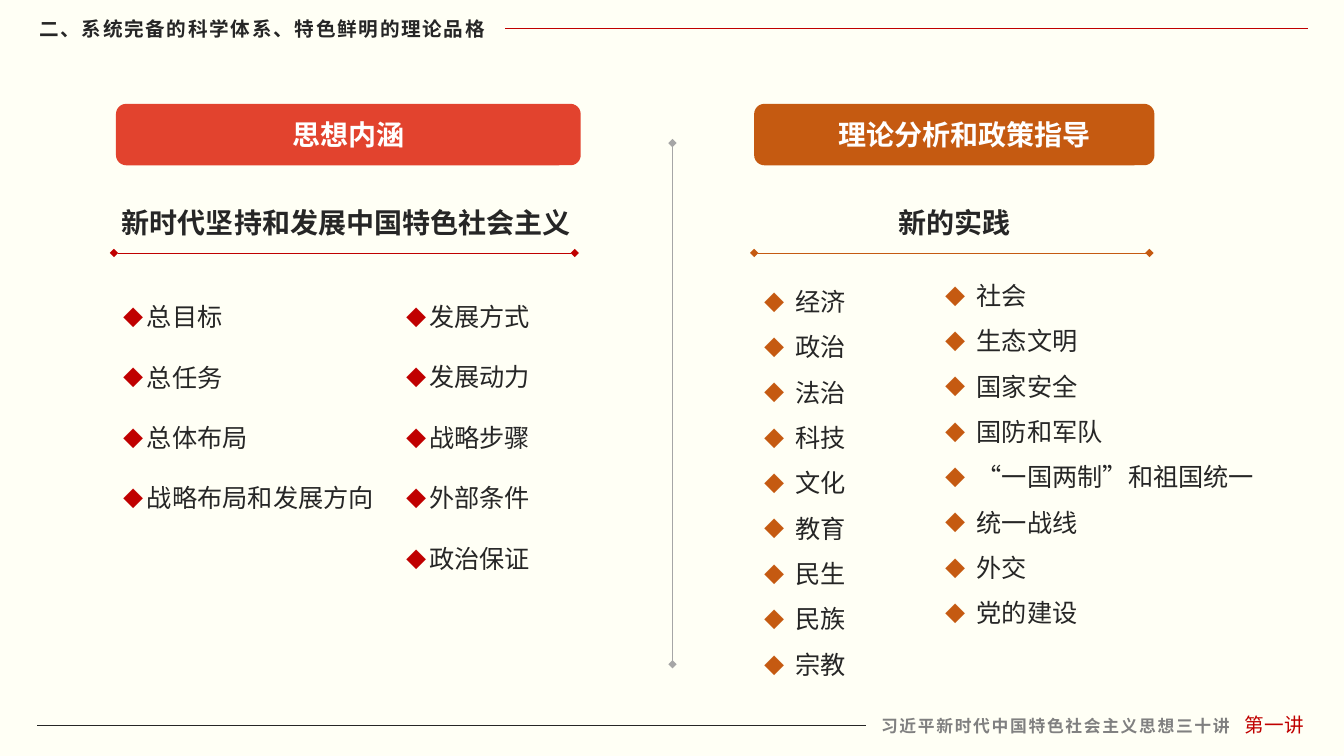
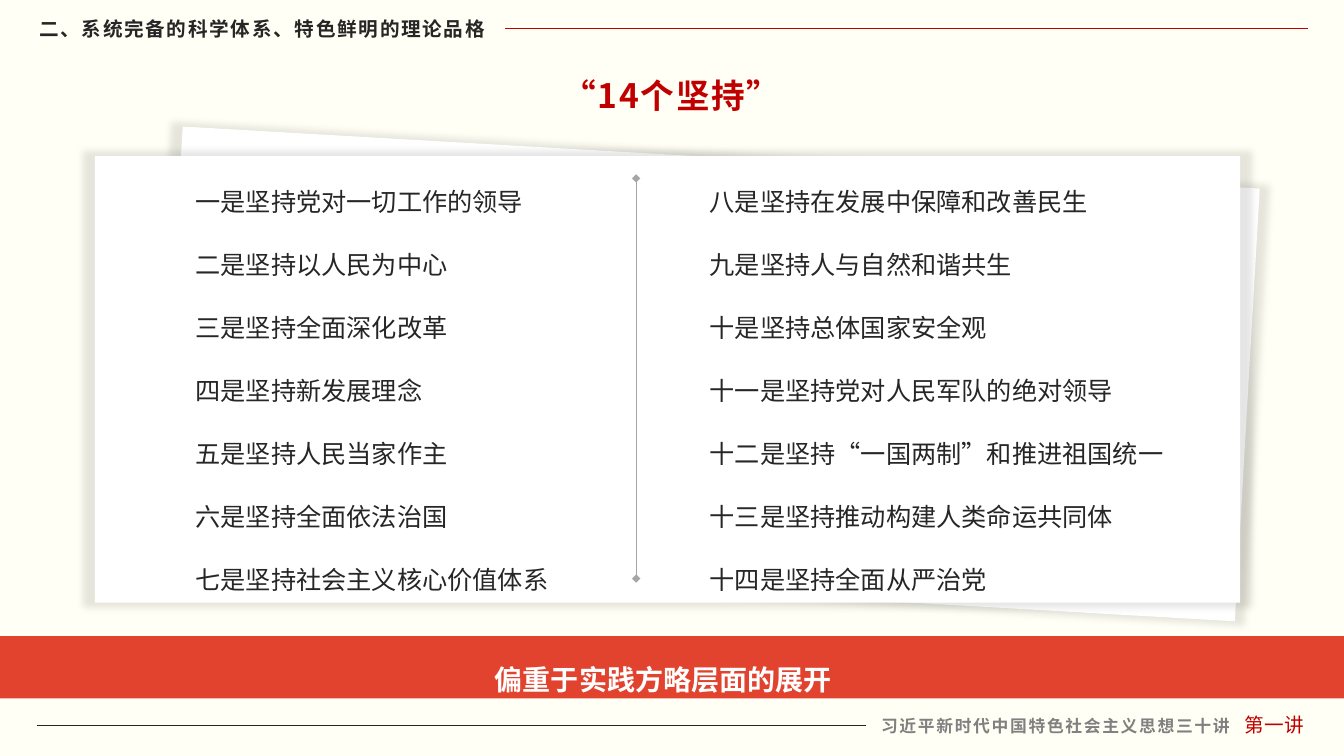
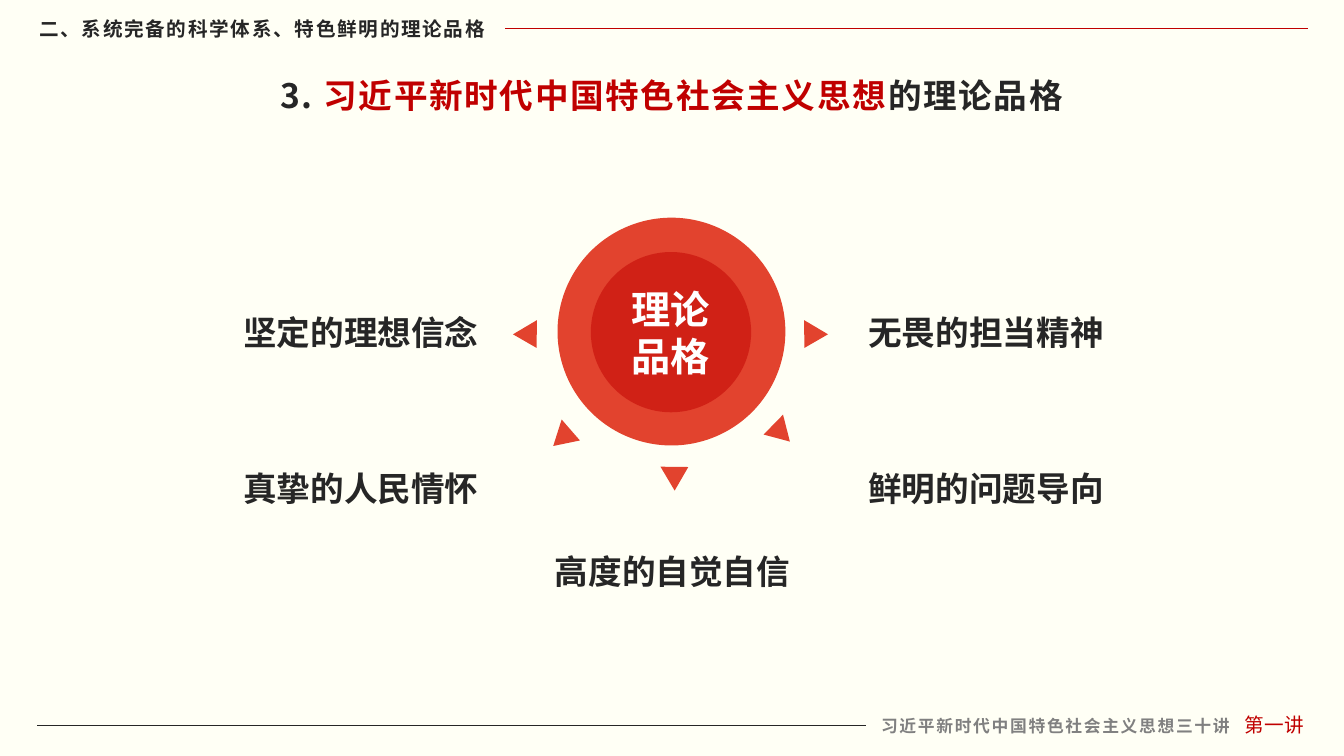
from dataclasses import dataclass
from typing import Any, NamedTuple

from lxml import etree
from pptx import Presentation
from pptx.dml.color import RGBColor
from pptx.enum.shapes import MSO_CONNECTOR, MSO_SHAPE
from pptx.enum.text import MSO_ANCHOR, PP_ALIGN
from pptx.oxml.ns import qn
from pptx.util import Inches, Pt

STRAIGHT = MSO_CONNECTOR.STRAIGHT
RECTANGLE = MSO_SHAPE.RECTANGLE
ROUNDED = MSO_SHAPE.ROUNDED_RECTANGLE
OVAL = MSO_SHAPE.OVAL
TRIANGLE = MSO_SHAPE.ISOSCELES_TRIANGLE
LEFT, CENTER, JUSTIFY = PP_ALIGN.LEFT, PP_ALIGN.CENTER, PP_ALIGN.JUSTIFY
TOP, MIDDLE = MSO_ANCHOR.TOP, MSO_ANCHOR.MIDDLE

FONT = "Noto Sans CJK SC"
COLORS = {
    "cream": "FFFFF5",
    "white": "FFFFFF",
    "ink": "262626",
    "gray": "808080",
    "rule": "A6A6A6",
    "deep_red": "C00000",
    "red": "E2432E",
    "orange": "C55A11",
    "shadow": "000000",
}


class Box(NamedTuple):
    left: float
    top: float
    width: float
    height: float


@dataclass(frozen=True)
class Style:
    size: float
    color: str = "ink"
    bold: bool = False
    spacing: float = 0
    align: Any = LEFT
    line_spacing: Any = None
    anchor: Any = TOP
    wrap: bool = True


@dataclass(frozen=True)
class Bullet:
    color: str
    hanging: float


@dataclass(frozen=True)
class BulletColumn:
    box: Box
    items: tuple[str, ...]
    bullet: Bullet
    line_spacing: float


@dataclass(frozen=True)
class Topic:
    banner: Box
    label: str
    label_margin: float
    color: str
    rule_color: str
    heading: str
    heading_box: Box
    rule_end: float


class Quality(NamedTuple):
    text: str
    left: float
    top: float


class Pointer(NamedTuple):
    left: float
    top: float
    rotation: float


HEADER = Style(14, bold=True, spacing=1.2, anchor=MIDDLE)
SERIES = Style(12, "gray", bold=True, spacing=1.2, wrap=False)
LECTURE = Style(14, "deep_red", align=CENTER, anchor=MIDDLE)
TITLE = Style(24, "deep_red", bold=True, spacing=1.2, align=CENTER, line_spacing=1.2)
BANNER = Style(20, "white", bold=True, align=CENTER, anchor=MIDDLE)
BAND = Style(20, "white", bold=True, align=CENTER, line_spacing=1.5, anchor=MIDDLE)
HEADING = Style(20, bold=True, wrap=False)
PRINCIPLE = Style(18, align=JUSTIFY, line_spacing=Pt(45))
QUALITY = Style(24, bold=True, align=CENTER, wrap=False)
CORE = Style(28, "white", bold=True, align=CENTER, anchor=MIDDLE)

TITLE_BOX = Box(1.15, 0.61, 11.02, 0.56)
RED_BULLET = Bullet("deep_red", 0.23)
ORANGE_BULLET = Bullet("orange", 0.31)

TOPICS = (
    Topic(Box(1.15, 1.03, 4.61, 0.61), "思想内涵", 0.1, "red", "deep_red",
          "新时代坚持和发展中国特色社会主义", Box(1.11, 1.99, 4.69, 0.44), 5.7),
    Topic(Box(7.48, 1.03, 3.97, 0.61), "理论分析和政策指导", 0.3, "orange", "orange",
          "新的实践", Box(8.81, 1.99, 1.32, 0.44), 11.4),
)
RULE_STARTS = (1.13, 7.48)

COLUMNS = (
    BulletColumn(Box(1.13, 2.64, 2.8, 2.52),
                 ("总目标", "总任务", "总体布局", "战略布局和发展方向"), RED_BULLET, 2.0),
    BulletColumn(Box(3.93, 2.64, 1.6, 3.13),
                 ("发展方式", "发展动力", "战略步骤", "外部条件", "政治保证"), RED_BULLET, 2.0),
    BulletColumn(Box(7.48, 2.64, 1.71, 4.19),
                 ("经济", "政治", "法治", "科技", "文化", "教育", "民生", "民族", "宗教"),
                 ORANGE_BULLET, 1.5),
    BulletColumn(Box(9.28, 2.58, 3.4, 3.74),
                 ("社会", "生态文明", "国家安全", "国防和军队", "“一国两制”和祖国统一",
                  "统一战线", "外交", "党的建设"), ORANGE_BULLET, 1.5),
)

PRINCIPLES = (
    (Box(1.84, 1.47, 4.92, 4.52),
     ("一是坚持党对一切工作的领导", "二是坚持以人民为中心", "三是坚持全面深化改革",
      "四是坚持新发展理念", "五是坚持人民当家作主", "六是坚持全面依法治国",
      "七是坚持社会主义核心价值体系")),
    (Box(6.94, 1.47, 5.05, 4.52),
     ("八是坚持在发展中保障和改善民生", "九是坚持人与自然和谐共生", "十是坚持总体国家安全观",
      "十一是坚持党对人民军队的绝对领导", "十二是坚持“一国两制”和推进祖国统一",
      "十三是坚持推动构建人类命运共同体", "十四是坚持全面从严治党")),
)
PAPERS = ((Box(1.68, 1.56, 10.7, 4.3), 3.3), (Box(0.94, 1.55, 11.36, 4.43), 0))

QUALITIES = (
    Quality("坚定的理想信念", 2.3, 3.04),
    Quality("真挚的人民情怀", 2.3, 4.59),
    Quality("高度的自觉自信", 5.39, 5.42),
    Quality("鲜明的问题导向", 8.5, 4.59),
    Quality("无畏的担当精神", 8.5, 3.04),
)
POINTERS = (
    Pointer(5.13, 3.16, 30),
    Pointer(5.46, 4.16, 348.3),
    Pointer(6.52, 4.57, 300),
    Pointer(7.6, 4.11, 15),
    Pointer(7.9, 3.16, 330),
)


def rgb(name: str) -> RGBColor:
    return RGBColor.from_string(COLORS[name])


def apply_format(target: Any, values: dict[str, Any]) -> None:
    for attribute, value in values.items():
        setattr(target, attribute, value)


def add_child(parent: Any, tag: str, **attributes: Any) -> Any:
    return etree.SubElement(parent, qn(tag), {key: str(value) for key, value in attributes.items()})


def inches(box: Box) -> tuple[int, ...]:
    return tuple(Inches(length) for length in box)


def add_bullet(paragraph: Any, bullet: Bullet) -> None:
    properties = paragraph._p.get_or_add_pPr()
    properties.set("marL", str(Inches(bullet.hanging)))
    properties.set("indent", str(-Inches(bullet.hanging)))
    add_child(add_child(properties, "a:buClr"), "a:srgbClr", val=COLORS[bullet.color])
    add_child(properties, "a:buSzPct", val=80000)
    add_child(properties, "a:buFont", typeface=FONT)
    add_child(properties, "a:buChar", char="◆")


def add_run(paragraph: Any, text: str, style: Style, color: str) -> None:
    run = paragraph.add_run()
    run.text = text
    apply_format(run.font, {"name": FONT, "size": Pt(style.size), "bold": style.bold})
    run.font.color.rgb = rgb(color)
    properties = run._r.get_or_add_rPr()
    if style.spacing:
        properties.set("spc", str(round(style.spacing * 100)))
    add_child(properties, "a:ea", typeface=FONT)


def write(shape: Any, lines: tuple, style: Style, bullet: Bullet | None = None) -> None:
    frame = shape.text_frame
    apply_format(frame, {"word_wrap": style.wrap, "vertical_anchor": style.anchor})
    for index, line in enumerate(lines):
        paragraph = frame.add_paragraph() if index else frame.paragraphs[0]
        if bullet:
            add_bullet(paragraph, bullet)
        apply_format(paragraph, {"alignment": style.align, "line_spacing": style.line_spacing})
        parts = ((line, style.color),) if isinstance(line, str) else line
        for text, color in parts:
            add_run(paragraph, text, style, color)


def add_text(slide: Any, box: Box, lines: tuple, style: Style, bullet: Bullet | None = None) -> Any:
    text_box = slide.shapes.add_textbox(*inches(box))
    write(text_box, lines, style, bullet)
    return text_box


def add_block(slide: Any, kind: Any, box: Box, color: str, rotation: float = 0) -> Any:
    block = slide.shapes.add_shape(kind, *inches(box))
    block.shadow.inherit = False
    block.fill.solid()
    block.fill.fore_color.rgb = rgb(color)
    block.line.fill.background()
    block.rotation = rotation
    return block


def add_line(slide: Any, start: tuple[float, float], end: tuple[float, float], color: str,
             width: float = 0.5, diamonds: bool = False) -> Any:
    ends = (Inches(length) for length in (*start, *end))
    line = slide.shapes.add_connector(STRAIGHT, *ends)
    line.line.color.rgb = rgb(color)
    line.line.width = Pt(width)
    if diamonds:
        outline = line.line._get_or_add_ln()
        for tag in ("a:headEnd", "a:tailEnd"):
            add_child(outline, tag, type="diamond")
    add_child(line._element.spPr, "a:effectLst")
    return line


def add_soft_shadow(shape: Any) -> None:
    effects = shape._element.spPr.find(qn("a:effectLst"))
    shadow = add_child(effects, "a:outerShdw", blurRad=Pt(5), dist=0, dir=0,
                       sx=102000, sy=102000, algn="ctr", rotWithShape=0)
    color = add_child(shadow, "a:srgbClr", val=COLORS["shadow"])
    add_child(color, "a:alpha", val=9000)


def add_page(prs: Any) -> Any:
    slide = prs.slides.add_slide(prs.slide_layouts[6])
    add_text(slide, Box(8.64, 7.05, 3.71, 0.3), ("习近平新时代中国特色社会主义思想三十讲",), SERIES)
    add_text(slide, Box(12.09, 7.02, 1.1, 0.34), ("第一讲",), LECTURE)
    add_line(slide, (0.37, 7.2), (8.59, 7.2), "ink")
    header = add_text(slide, Box(0.29, 0.11, 4.72, 0.34),
                      ("二、系统完备的科学体系、特色鲜明的理论品格",), HEADER)
    header_rule = add_line(slide, (5.01, 0.28), (12.97, 0.28), "deep_red")
    header_rule.begin_connect(header, 3)
    return slide


def build_topics(prs: Any) -> None:
    slide = add_page(prs)
    for topic, rule_start in zip(TOPICS, RULE_STARTS):
        banner = add_block(slide, ROUNDED, topic.banner, topic.color)
        banner.text_frame.margin_left = Inches(topic.label_margin)
        write(banner, (topic.label,), BANNER)
        add_text(slide, topic.heading_box, (topic.heading,), HEADING)
        add_line(slide, (rule_start, 2.51), (topic.rule_end, 2.51), topic.rule_color, diamonds=True)
    for column in COLUMNS:
        style = Style(18, line_spacing=column.line_spacing)
        add_text(slide, column.box, column.items, style, column.bullet)
    add_line(slide, (6.67, 1.42), (6.67, 6.59), "rule", diamonds=True)


def build_principles(prs: Any) -> None:
    slide = add_page(prs)
    for box, rotation in PAPERS:
        add_soft_shadow(add_block(slide, RECTANGLE, box, "white", rotation))
    add_text(slide, TITLE_BOX, ("“14个坚持”",), TITLE)
    for box, principles in PRINCIPLES:
        add_text(slide, box, principles, PRINCIPLE)
    add_line(slide, (6.31, 1.77), (6.31, 5.74), "rule", 1, diamonds=True)
    band = add_block(slide, RECTANGLE, Box(0, 6.31, 13.33, 0.62), "red")
    apply_format(band.text_frame, {"margin_top": Inches(0.12), "margin_right": Inches(0.27)})
    write(band, ("偏重于实践方略层面的展开",), BAND)


def build_qualities(prs: Any) -> None:
    slide = add_page(prs)
    title = (("3. ", "ink"), ("习近平新时代中国特色社会主义思想", "deep_red"), ("的理论品格", "ink"))
    add_text(slide, TITLE_BOX, (title,), TITLE)
    for quality in QUALITIES:
        add_text(slide, Box(quality.left, quality.top, 2.56, 0.51), (quality.text,), QUALITY)
    add_block(slide, OVAL, Box(5.53, 2.16, 2.26, 2.26), "red")
    core = add_block(slide, OVAL, Box(5.86, 2.5, 1.59, 1.59), "deep_red")
    core_color = core._element.spPr.find(qn("a:solidFill")).find(qn("a:srgbClr"))
    add_child(core_color, "a:alpha", val=50000)
    sides = ("left", "top", "right", "bottom")
    apply_format(core.text_frame, {f"margin_{side}": Inches(0) for side in sides})
    write(core, ("理论", "品格"), CORE)
    for pointer in POINTERS:
        box = Box(pointer.left, pointer.top, 0.27, 0.24)
        add_block(slide, TRIANGLE, box, "red", pointer.rotation)


def main() -> None:
    prs = Presentation()
    apply_format(prs, {"slide_width": Inches(13.33), "slide_height": Inches(7.5)})
    background = prs.slide_master.background.fill
    background.solid()
    background.fore_color.rgb = rgb("cream")
    for build in (build_topics, build_principles, build_qualities):
        build(prs)
    prs.save("out.pptx")


if __name__ == "__main__":
    main()
